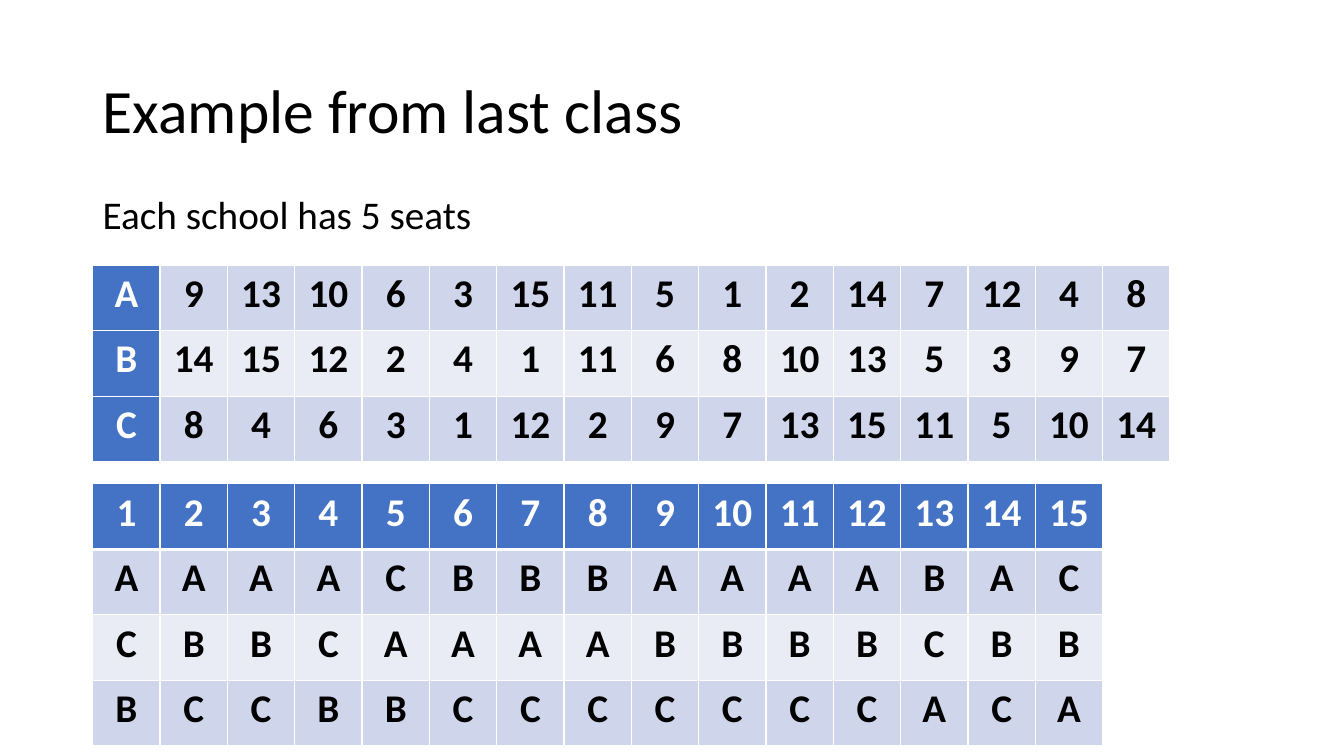
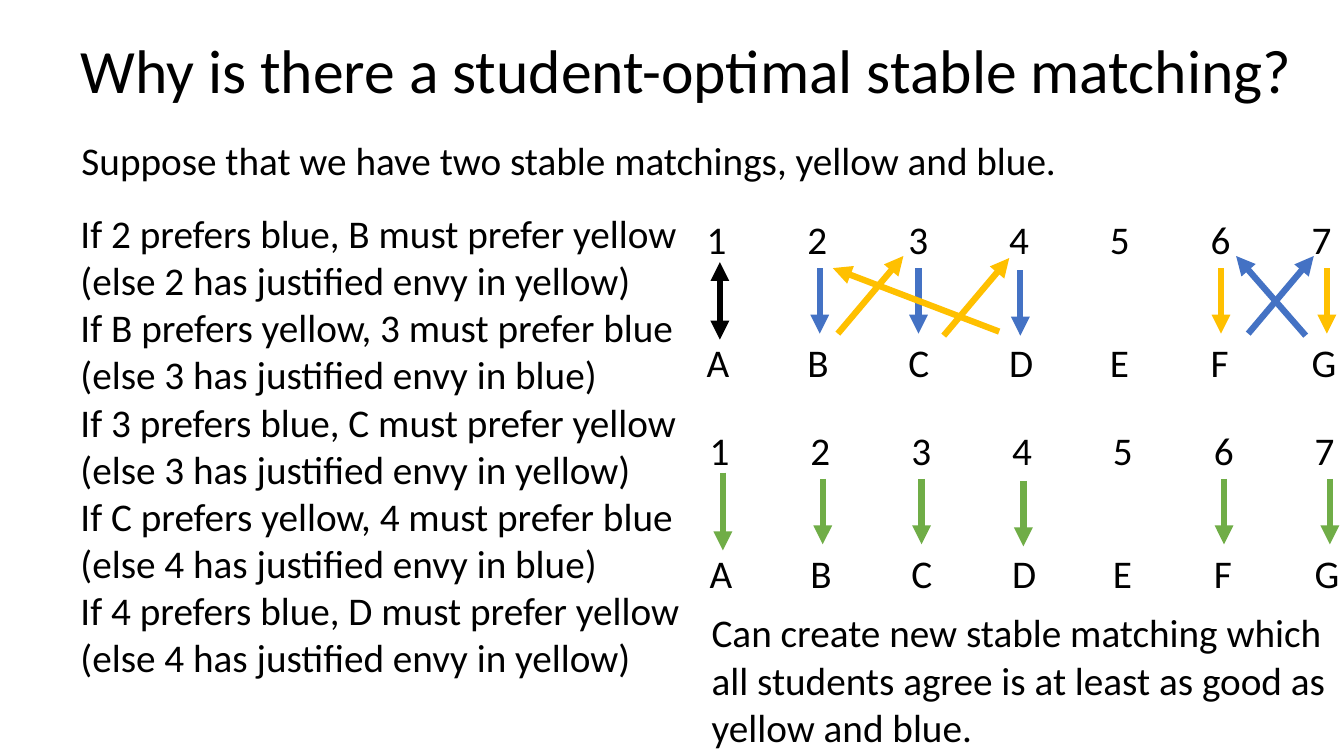
from lxml import etree
from pptx import Presentation
from pptx import util as u
from pptx.dml.color import RGBColor
from pptx.enum import shapes, text
from pptx.oxml.ns import qn

FONT = "Calibri"
BLACK, WHITE = "000000", "FFFFFF"
BLUE, YELLOW, GREEN = "4472C4", "FFC000", "70AD47"
BANDS = ["CFD5EA", "E9EBF5"]
TITLE_SIZE, BODY_SIZE = 44, 28
TABLE_LEFT, COLUMN_WIDTH, ROW_HEIGHT = 0.92, 0.668, 0.65
PAIR_STEP, PAIR_COUNT, LABEL_GAP = 1, 7, 1.22

SCHOOL_RANKINGS = [
    "A 9 13 10 6 3 15 11 5 1 2 14 7 12 4 8",
    "B 14 15 12 2 4 1 11 6 8 10 13 5 3 9 7",
    "C 8 4 6 3 1 12 2 9 7 13 15 11 5 10 14",
]
STUDENT_RANKINGS = [
    "1 2 3 4 5 6 7 8 9 10 11 12 13 14 15",
    "A A A A C B B B A A A A B A C",
    "C B B C A A A A B B B B C B B",
    "B C C B B C C C C C C C A C A",
]
ENVY_STEPS = [
    "If 2 prefers blue, B must prefer yellow",
    "(else 2 has justified envy in yellow)",
    "If B prefers yellow, 3 must prefer blue",
    "(else 3 has justified envy in blue)",
    "If 3 prefers blue, C must prefer yellow",
    "(else 3 has justified envy in yellow)",
    "If C prefers yellow, 4 must prefer blue",
    "(else 4 has justified envy in blue)",
    "If 4 prefers blue, D must prefer yellow",
    "(else 4 has justified envy in yellow)",
]

UPRIGHT_ARROWS = {
    1: (0.23, 0.51, 1.28),
    2: (1.22, 0.57, 1.22),
    3: (2.2, 0.57, 1.22),
    4: (3.21, 0.59, 1.24),
    6: (5.2, 0.57, 1.22),
    7: (6.25, 0.57, 1.22),
}
CROSSING_ARROWS = [
    (5.47, 1.22, 6.12, 0.45, BLUE),
    (6.04, 1.24, 5.35, 0.45, BLUE),
    (1.4, 1.22, 2.05, 0.45, YELLOW),
    (2.45, 1.24, 3.1, 0.47, YELLOW),
    (3, 1.2, 1.35, 0.57, YELLOW),
]
TWO_MATCHINGS = {1: BLACK, 2: BLUE, 3: BLUE, 4: BLUE, 6: YELLOW, 7: YELLOW}
NEW_MATCHING = dict.fromkeys(UPRIGHT_ARROWS, GREEN)


def colour(value):
    return RGBColor.from_string(value)


def style(para, size=BODY_SIZE, shade=BLACK, bold=False):
    for span in para.runs:
        span.font.name = FONT
        span.font.size = u.Pt(size)
        span.font.bold = bold
        span.font.color.rgb = colour(shade)


def add_text(page, lines, left, top, width, height, size=BODY_SIZE,
             anchor=text.MSO_ANCHOR.TOP, spacing=1.0):
    box = page.shapes.add_textbox(*map(u.Inches, (left, top, width, height)))
    frame = box.text_frame
    frame.word_wrap = True
    frame.vertical_anchor = anchor
    frame.text = "\n".join(lines)
    for para in frame.paragraphs:
        para.line_spacing = spacing
        style(para, size)
    return box


def add_title(page, title, left, top, width):
    add_text(page, [title], left, top, width, 1.45, TITLE_SIZE,
             text.MSO_ANCHOR.MIDDLE, 0.9)


def add_arrow(page, start_x, start_y, end_x, end_y, shade, both_ends=False):
    arrow = page.shapes.add_connector(
        shapes.MSO_CONNECTOR.STRAIGHT,
        *map(u.Inches, (start_x, start_y, end_x, end_y)))
    arrow.line.color.rgb = colour(shade)
    arrow.line.width = u.Pt(4.5)
    line = arrow.line._get_or_add_ln()
    for end in ["headEnd", "tailEnd"] if both_ends else ["tailEnd"]:
        etree.SubElement(line, qn("a:" + end), type="triangle")
    etree.SubElement(arrow._element.spPr, qn("a:effectLst"))


def set_borders(cell, widths):
    properties = cell._tc.get_or_add_tcPr()
    for side, width in zip("LRTB", widths):
        line = etree.SubElement(properties, qn("a:ln" + side), w=str(u.Pt(width)))
        fill = etree.SubElement(line, qn("a:solidFill"))
        etree.SubElement(fill, qn("a:srgbClr"), val=WHITE)


def add_ranking_table(page, rankings, top, header_row):
    rows = [line.split() for line in rankings]
    table = page.shapes.add_table(
        len(rows), len(rows[0]), u.Inches(TABLE_LEFT), u.Inches(top),
        u.Inches(COLUMN_WIDTH * len(rows[0])),
        u.Inches(ROW_HEIGHT * len(rows))).table
    table.first_row = header_row
    table.first_col = not header_row
    table.horz_banding = False
    for r, values in enumerate(rows):
        for c, value in enumerate(values):
            cell = table.cell(r, c)
            is_header = r == 0 if header_row else c == 0
            above = 3 if header_row and r == 1 else 1
            below = 3 if header_row and r == 0 else 1
            set_borders(cell, [1, 1, above, below])
            cell.fill.solid()
            band = BANDS[(r - header_row) % 2]
            cell.fill.fore_color.rgb = colour(BLUE if is_header else band)
            cell.text = value
            para = cell.text_frame.paragraphs[0]
            para.alignment = text.PP_ALIGN.CENTER
            style(para, shade=WHITE if is_header else BLACK, bold=True)


def add_label_row(page, labels, left, top):
    box = add_text(page, ["\t".join(labels)], left, top, 6.55, 0.57)
    properties = box.text_frame.paragraphs[0]._p.get_or_add_pPr()
    stops = etree.SubElement(properties, qn("a:tabLst"))
    for step in range(1, PAIR_COUNT):
        etree.SubElement(stops, qn("a:tab"), algn="l",
                         pos=str(u.Inches(step * PAIR_STEP)))


def add_matching(page, left, top, shades, crossings=()):
    add_label_row(page, "1234567", left, top)
    add_label_row(page, "ABCDEFG", left, top + LABEL_GAP)
    for student, shade in shades.items():
        x, start, end = UPRIGHT_ARROWS[student]
        add_arrow(page, left + x, top + start, left + x, top + end, shade,
                  both_ends=shade == BLACK)
    for start_x, start_y, end_x, end_y, shade in crossings:
        add_arrow(page, left + start_x, top + start_y,
                  left + end_x, top + end_y, shade)


def build_example(page):
    add_title(page, "Example from last class", 0.92, 0.4, 11.5)
    add_ranking_table(page, SCHOOL_RANKINGS, 2.63, header_row=False)
    add_ranking_table(page, STUDENT_RANKINGS, 4.8, header_row=True)
    add_text(page, ["Each school has 5 seats"], 0.92, 1.84, 4.1, 0.57)


def build_stable_matching(page):
    add_title(page, "Why is there a student-optimal stable matching?",
              0.7, 0, 12.23)
    add_text(page, ["Suppose that we have two stable matchings, yellow and blue."],
             0.71, 1.36, 11.5, 0.6, spacing=0.9)
    add_matching(page, 6.91, 2.09, TWO_MATCHINGS, CROSSING_ARROWS)
    add_text(page, ENVY_STEPS, 0.7, 2.03, 6.27, 4.81)
    add_matching(page, 6.94, 4.18, NEW_MATCHING)
    add_text(page, ["Can create new stable matching which all students agree "
                    "is at least as good as yellow and blue."],
             6.96, 5.99, 6.48, 1.51)


def main():
    deck = Presentation()
    deck.slide_width = u.Inches(13.33)
    deck.slide_height = u.Inches(7.5)
    for build in (build_example, build_stable_matching):
        build(deck.slides.add_slide(deck.slide_layouts[6]))
    deck.save("out.pptx")


if __name__ == "__main__":
    main()
